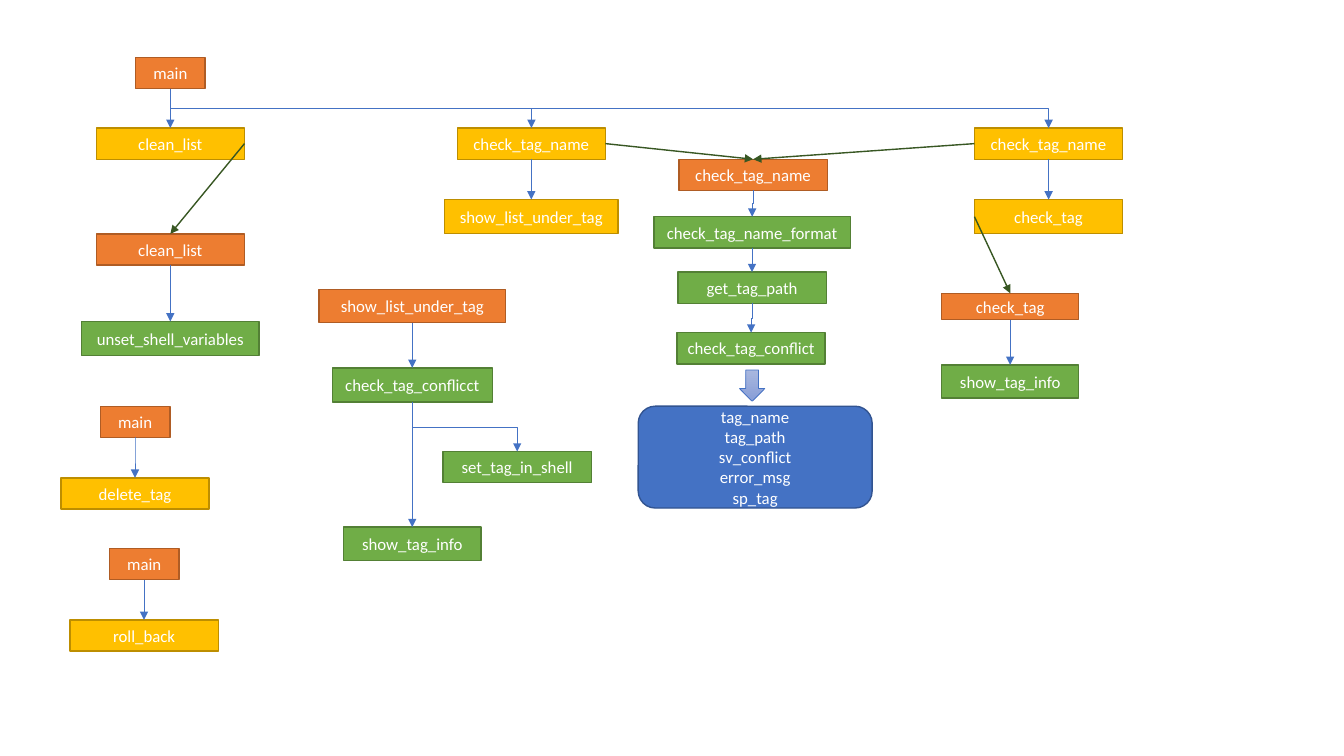
from dataclasses import dataclass
from enum import Enum

from lxml.etree import SubElement
from pptx import Presentation
from pptx.dml.color import RGBColor as Rgb
from pptx.enum.shapes import MSO_CONNECTOR as Wire, MSO_SHAPE as Preset
from pptx.enum.text import MSO_ANCHOR as Anchor, PP_ALIGN as Align
from pptx.oxml.ns import qn
from pptx.util import Inches, Pt

CELL = Inches(0.1)  # one column or row of the layout grid


@dataclass(frozen=True)
class Paint:
    fill: str
    edge: str


@dataclass(frozen=True)
class Theme:
    entry: Paint = Paint("ED7D31", "AF5C24")
    step: Paint = Paint("FFC000", "BD8E00")
    helper: Paint = Paint("70AD47", "538035")
    result: Paint = Paint("4472C4", "325491")
    flow: str = "4472C4"
    jump: str = "385723"
    arrow_top: str = "A8B7DF"
    arrow_bottom: str = "889ED7"
    text: str = "FFFFFF"
    font: str = "Calibri"
    size: float = 12
    thin: float = 0.5
    thick: float = 1


THEME = Theme()


class Site(Enum):
    TOP = 0
    LEFT = 1
    BOTTOM = 2
    RIGHT = 3


@dataclass(frozen=True)
class Box:
    """A labelled box: centre column, top row, size in grid cells."""
    key: str
    label: str
    paint: Paint
    center: float
    top: float
    width: float = 14.7
    height: float = 3.1
    preset: Preset = Preset.RECTANGLE


@dataclass(frozen=True)
class Link:
    """An arrow; a flow link leaves at the bottom, a jump at a side."""
    source: str
    target: str
    leave: Site = Site.BOTTOM
    bent: bool = True


ENTRY, STEP, HELPER = THEME.entry, THEME.step, THEME.helper
RESULTS = "tag_name\ntag_path\nsv_conflict\nerror_msg\nsp_tag"

BOXES = [
    # Main flow with its three steps
    Box("main", "main", ENTRY, 16.9, 5.7, 6.9),
    Box("clean step", "clean_list", STEP, 16.9, 12.7),
    Box("name step", "check_tag_name", STEP, 52.7, 12.7),
    Box("list step", "show_list_under_tag", STEP, 52.7, 19.8, 17.2, 3.4),
    Box("tag name step", "check_tag_name", STEP, 104, 12.7),
    Box("tag step", "check_tag", STEP, 104, 19.8, 14.7, 3.4),
    # clean_list
    Box("clean", "clean_list", ENTRY, 16.9, 23.2),
    Box("unset", "unset_shell_variables", HELPER, 16.9, 31.9, 17.6, 3.4),
    # check_tag_name
    Box("name", "check_tag_name", ENTRY, 74.7, 15.8),
    Box("format", "check_tag_name_format", HELPER, 74.6, 21.5, 19.5),
    Box("path", "get_tag_path", HELPER, 74.6, 27),
    Box("conflict", "check_tag_conflict", HELPER, 74.5, 33),
    Box("results", RESULTS, THEME.result, 74.9, 40.3, 23.2, 10.1,
        Preset.ROUNDED_RECTANGLE),
    # show_list_under_tag
    Box("list", "show_list_under_tag", ENTRY, 40.9, 28.7, 18.5, 3.3),
    Box("list conflict", "check_tag_conflicct", HELPER, 40.9, 36.5, 15.9, 3.4),
    Box("set tag", "set_tag_in_shell", HELPER, 51.3, 44.8),
    Box("list info", "show_tag_info", HELPER, 40.9, 52.3, 13.6, 3.3),
    # check_tag
    Box("tag", "check_tag", ENTRY, 100.2, 29.1, 13.6, 2.6),
    Box("tag info", "show_tag_info", HELPER, 100.2, 36.2, 13.6, 3.3),
    # delete_tag and roll_back
    Box("delete main", "main", ENTRY, 13.4, 40.3, 6.9),
    Box("delete", "delete_tag", STEP, 13.4, 47.4),
    Box("roll main", "main", ENTRY, 14.3, 54.4, 6.9),
    Box("roll", "roll_back", STEP, 14.3, 61.5),
]

LINKS = [
    Link("main", "clean step"),
    Link("main", "name step"),
    Link("main", "tag name step"),
    Link("name step", "list step", bent=False),
    Link("tag name step", "tag step", bent=False),
    Link("clean", "unset"),
    Link("name", "format"),
    Link("format", "path"),
    Link("path", "conflict"),
    Link("list", "list conflict"),
    Link("list conflict", "list info"),
    Link("list conflict", "set tag"),
    Link("tag", "tag info"),
    Link("delete main", "delete"),
    Link("roll main", "roll"),
    # Jumps from a step to its definition
    Link("clean step", "clean", Site.RIGHT, False),
    Link("name step", "name", Site.RIGHT, False),
    Link("tag name step", "name", Site.LEFT, False),
    Link("tag step", "tag", Site.LEFT, False),
]


def cells(count: float) -> int:
    return round(count * CELL)


def add_preset(shapes, preset, center: float, top: float, width: float, height: float):
    shape = shapes.add_shape(preset, cells(center - width / 2), cells(top),
                             cells(width), cells(height))
    shape.shadow.inherit = False
    return shape


def draw_box(shapes, box: Box):
    shape = add_preset(shapes, box.preset, box.center, box.top, box.width, box.height)
    shape.fill.solid()
    shape.fill.fore_color.rgb = Rgb.from_string(box.paint.fill)
    shape.line.color.rgb = Rgb.from_string(box.paint.edge)
    shape.line.width = Pt(THEME.thick)
    frame = shape.text_frame
    frame.text = box.label
    frame.vertical_anchor = Anchor.MIDDLE
    for paragraph in frame.paragraphs:
        paragraph.alignment = Align.CENTER
        font = paragraph.runs[0].font
        font.name, font.size = THEME.font, Pt(THEME.size)
        font.color.rgb = Rgb.from_string(THEME.text)
    return shape


def turn_downward(wire) -> None:
    """Turn an elbow so that it leaves and arrives vertically."""
    across, down = wire.end_x - wire.begin_x, wire.end_y - wire.begin_y
    middle_x = (wire.begin_x + wire.end_x) // 2
    middle_y = (wire.begin_y + wire.end_y) // 2
    wire.width, wire.height = down, abs(across)
    wire.left, wire.top = middle_x - down // 2, middle_y - abs(across) // 2
    frame = wire.element.spPr.find(qn("a:xfrm"))
    frame.set("rot", "5400000" if across < 0 else "16200000")
    frame.set("flipH", "0" if across < 0 else "1")


def draw_link(shapes, link: Link, drawn: dict) -> None:
    wire = shapes.add_connector(Wire.ELBOW if link.bent else Wire.STRAIGHT, 0, 0, 0, 0)
    wire.begin_connect(drawn[link.source], link.leave.value)
    wire.end_connect(drawn[link.target], Site.TOP.value)
    if link.bent:
        turn_downward(wire)
    is_flow = link.leave is Site.BOTTOM
    wire.line.color.rgb = Rgb.from_string(THEME.flow if is_flow else THEME.jump)
    wire.line.width = Pt(THEME.thin if is_flow else THEME.thick)
    properties = wire.element.spPr
    SubElement(properties.find(qn("a:ln")), qn("a:tailEnd"), type="triangle")
    SubElement(properties, qn("a:effectLst"))


def draw_result_arrow(shapes) -> None:
    arrow = add_preset(shapes, Preset.DOWN_ARROW, 74.6, 36.7, 2.5, 3.1)
    arrow.fill.gradient()
    arrow.fill.gradient_angle = 270
    for stop, color in zip(arrow.fill.gradient_stops, (THEME.arrow_top, THEME.arrow_bottom)):
        stop.color.rgb = Rgb.from_string(color)
    arrow.line.color.rgb = Rgb.from_string(THEME.flow)
    arrow.line.width = Pt(THEME.thin)


def main() -> None:
    deck = Presentation()
    deck.slide_width, deck.slide_height = Inches(13.33), Inches(7.5)
    shapes = deck.slides.add_slide(deck.slide_layouts[6]).shapes
    drawn = {box.key: draw_box(shapes, box) for box in BOXES}
    draw_result_arrow(shapes)
    for link in LINKS:
        draw_link(shapes, link, drawn)
    deck.save("out.pptx")


if __name__ == "__main__":
    main()
